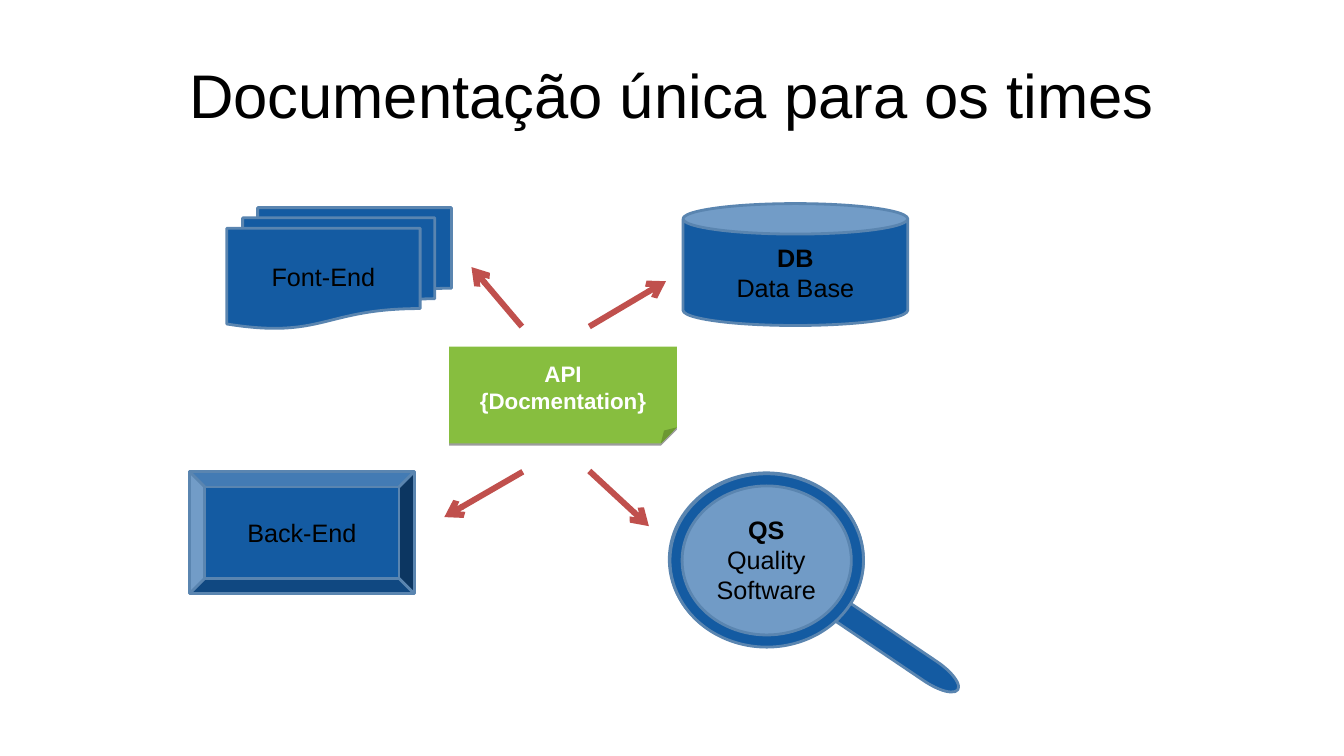
from dataclasses import dataclass
from typing import Any, Optional

from lxml.etree import SubElement
from pptx import Presentation
from pptx.dml.color import RGBColor as RGB
from pptx.enum.shapes import MSO_CONNECTOR as Link, MSO_SHAPE as Kind
from pptx.enum.text import MSO_ANCHOR as Anchor, PP_ALIGN as Align
from pptx.oxml.ns import qn
from pptx.util import Emu, Inches, Pt


@dataclass(frozen=True)
class Theme:
    font: str = "Arial"
    black: str = "000000"
    white: str = "FFFFFF"
    blue: str = "145BA2"
    pale: str = "719BC6"
    edge: str = "5A85B0"
    green: str = "87BE3F"
    red: str = "C0504D"
    title: int = 44
    body: int = 18
    note: int = 16
    rim: float = 2
    stem: float = 4.25


LOOK = Theme()
WIDE, HIGH = Inches(13.34), Inches(7.5)


@dataclass(frozen=True)
class Box:
    """Place and size in percent of the slide's width and height."""
    x: float
    y: float
    w: float
    h: float

    def frame(self) -> tuple[Emu, Emu, Emu, Emu]:
        return across(self.x), down(self.y), across(self.w), down(self.h)


@dataclass(frozen=True)
class Node:
    kind: Kind
    box: Box
    text: str = ""
    bold: int = 0  # how many leading lines are bold
    fill: str = LOOK.blue
    edge: Optional[str] = LOOK.edge
    ink: str = LOOK.black
    size: int = LOOK.body
    adj: Optional[float] = None
    turn: float = 0


@dataclass(frozen=True)
class Arrow:
    x: float
    y: float
    to_x: float
    to_y: float


TITLE = Box(5, 4, 90, 16.7)
NODES = (
    Node(Kind.FOLDED_CORNER, Box(33.43, 45.87, 16.94, 12.8), "API\n{Docmentation}", 2,
         fill=LOOK.green, edge=None, ink=LOOK.white, size=LOOK.note),
    Node(Kind.FLOWCHART_TERMINATOR, Box(57.35, 82.13, 15.22, 3.07), turn=34),
    Node(Kind.OVAL, Box(49.8, 62.55, 14.45, 22.93), "QS\nQuality Software", 1,
         fill=LOOK.pale),
    Node(Kind.DONUT, Box(49.85, 62.67, 14.4, 22.93), adj=0.07),
    Node(Kind.BEVEL, Box(14.1, 62.4, 16.72, 16.13), "Back-End"),
    Node(Kind.FLOWCHART_MULTIDOCUMENT, Box(16.87, 27.47, 16.72, 16), "Font-End"),
    Node(Kind.CAN, Box(50.82, 26.93, 16.72, 16.13), "DB\nData Base", 1),
)
ARROWS = (
    Arrow(43.85, 43.2, 49.55, 37.2),
    Arrow(38.83, 43.2, 35.08, 35.33),
    Arrow(43.85, 62.3, 48.28, 69.6),
    Arrow(38.9, 62.4, 33.06, 68.4),
)


def across(share: float) -> Emu:
    return Emu(round(WIDE * share / 100))


def down(share: float) -> Emu:
    return Emu(round(HIGH * share / 100))


def write(shape: Any, text: str, size: int, ink: str, bold: int = 0) -> None:
    frame = shape.text_frame
    frame.text = text
    frame.word_wrap = True
    frame.vertical_anchor = Anchor.MIDDLE
    for row, para in enumerate(frame.paragraphs):
        para.alignment = Align.CENTER
        for run in para.runs:
            font = run.font
            font.name, font.size, font.bold = LOOK.font, Pt(size), row < bold
            font.color.rgb = RGB.from_string(ink)


def shade(shape: Any) -> None:
    """Drop a hard, faint shadow straight below the shape."""
    effects = shape._element.spPr.find(qn("a:effectLst"))
    drop = SubElement(effects, qn("a:outerShdw"), dist=str(Pt(1.6)),
                      dir="5400000", rotWithShape="0")
    tint = SubElement(drop, qn("a:srgbClr"), val=LOOK.black)
    SubElement(tint, qn("a:alpha"), val="38000")


def draw(shapes: Any, node: Node) -> None:
    shape = shapes.add_shape(node.kind, *node.box.frame())
    shape.shadow.inherit = False
    shape.rotation = node.turn
    if node.adj is not None:
        shape.adjustments[0] = node.adj
    shape.fill.solid()
    shape.fill.fore_color.rgb = RGB.from_string(node.fill)
    if node.edge:
        shape.line.color.rgb = RGB.from_string(node.edge)
        shape.line.width = Pt(LOOK.rim)
    else:
        shape.line.fill.background()
        shade(shape)
    if node.text:
        write(shape, node.text, node.size, node.ink, node.bold)


def point(shapes: Any, arrow: Arrow) -> None:
    link = shapes.add_connector(Link.STRAIGHT, across(arrow.x), down(arrow.y),
                                across(arrow.to_x), down(arrow.to_y))
    link.line.color.rgb = RGB.from_string(LOOK.red)
    link.line.width = Pt(LOOK.stem)
    SubElement(link.line._get_or_add_ln(), qn("a:tailEnd"), type="arrow")
    SubElement(link._element.spPr, qn("a:effectLst"))


def main() -> None:
    deck = Presentation()
    deck.slide_width, deck.slide_height = WIDE, HIGH
    shapes = deck.slides.add_slide(deck.slide_layouts[6]).shapes
    title = shapes.add_textbox(*TITLE.frame())
    write(title, "Documentação única para os times", LOOK.title, LOOK.black)
    for node in NODES:
        draw(shapes, node)
    for arrow in ARROWS:
        point(shapes, arrow)
    deck.save("out.pptx")


if __name__ == "__main__":
    main()
